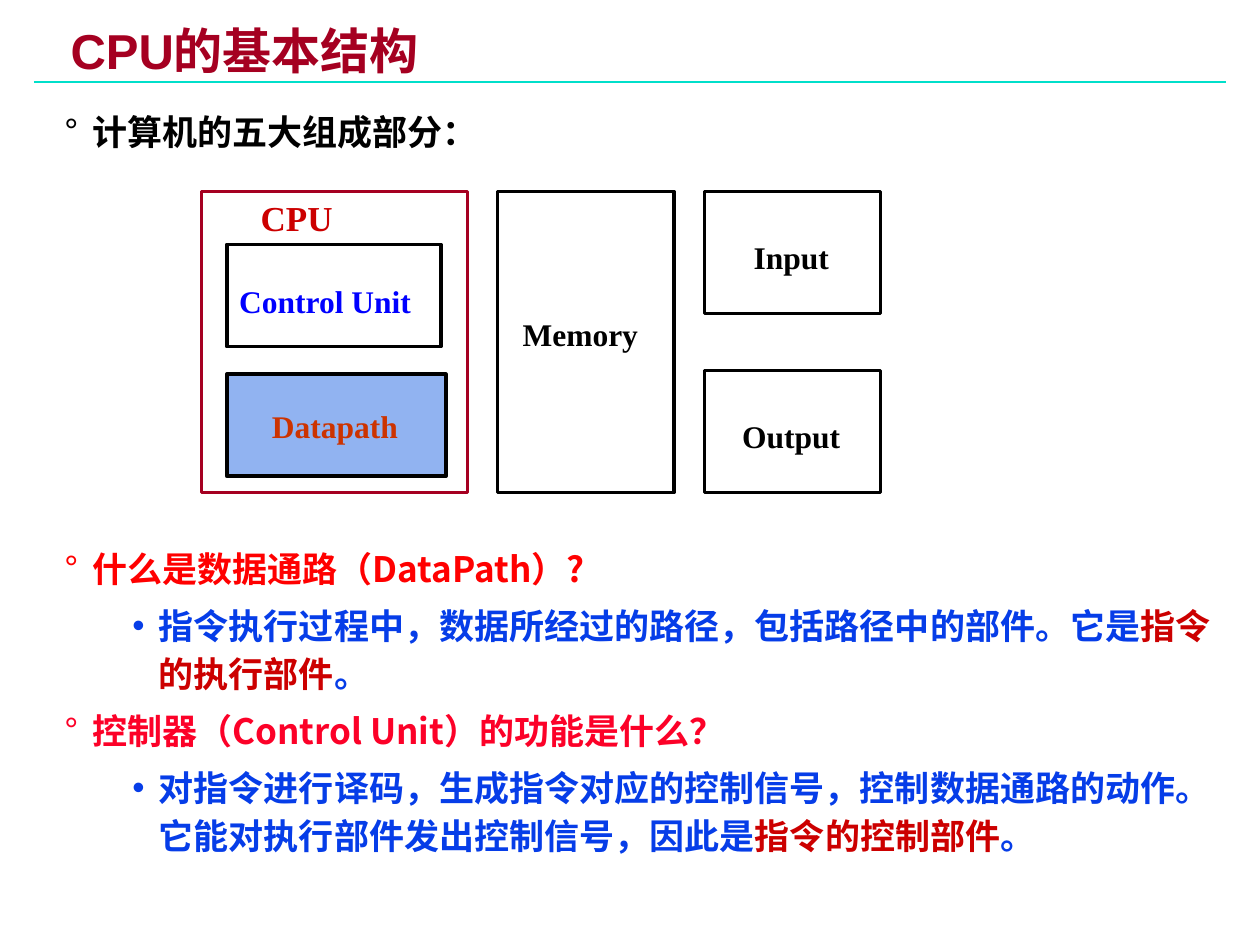
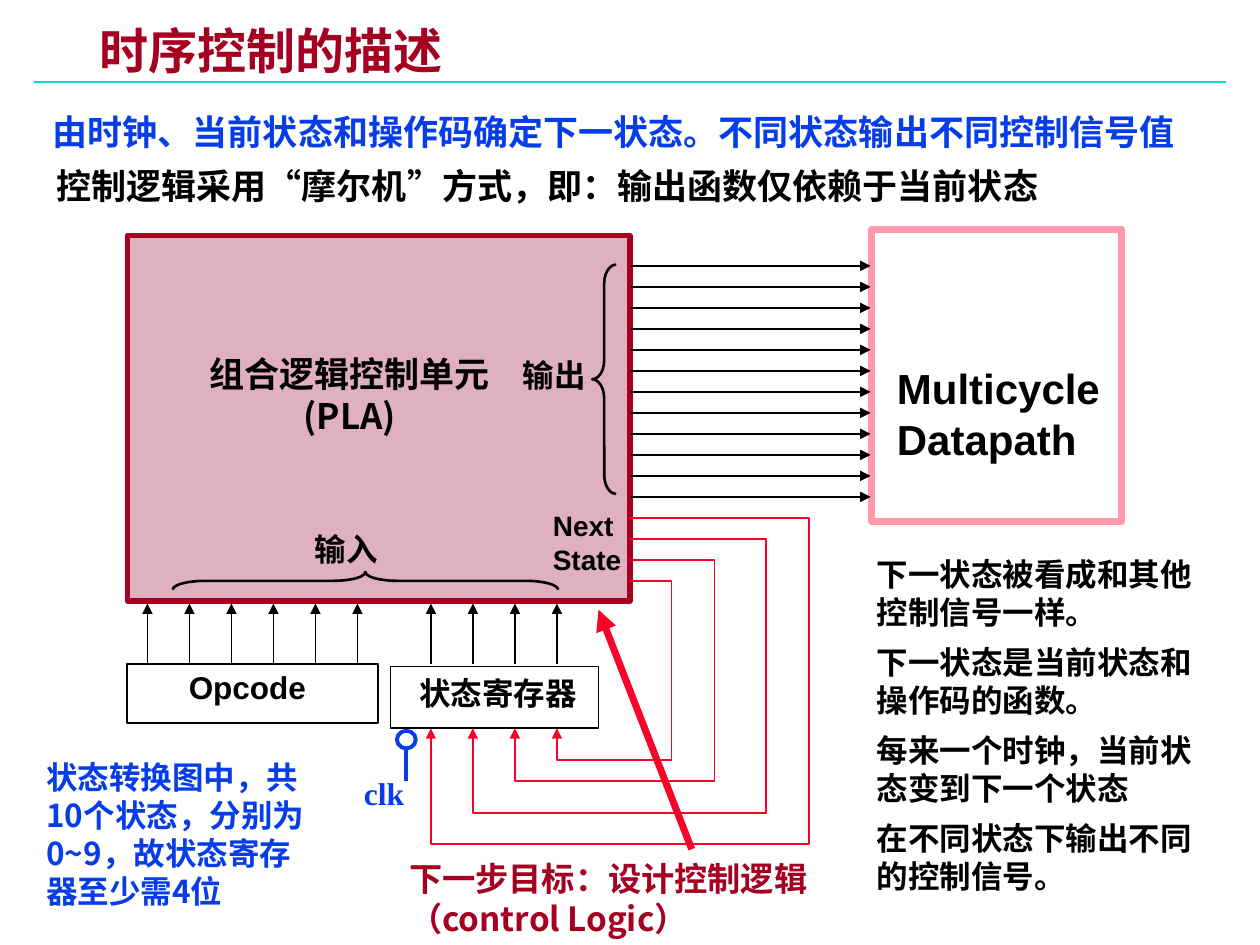
from typing import NamedTuple

from lxml import etree
from pptx import Presentation
from pptx.dml.color import RGBColor
from pptx.enum.shapes import MSO_CONNECTOR, MSO_SHAPE
from pptx.enum.text import MSO_ANCHOR, MSO_AUTO_SIZE, PP_ALIGN
from pptx.oxml.ns import qn
from pptx.util import Inches, Pt

RECT, OVAL, BRACE = MSO_SHAPE.RECTANGLE, MSO_SHAPE.OVAL, MSO_SHAPE.LEFT_BRACE
STRAIGHT = MSO_CONNECTOR.STRAIGHT
LEFT, MID = PP_ALIGN.LEFT, PP_ALIGN.CENTER
TOP, CENTRE = MSO_ANCHOR.TOP, MSO_ANCHOR.MIDDLE
FIXED = MSO_AUTO_SIZE.NONE

WIDE, HIGH = Inches(10), Inches(7.5)
COLS, ROWS = 100, 75
LEADING = 1.2
TITLE_ONLY = 5
SANS, SERIF, HAN = "Arial", "Times New Roman", "Noto Sans CJK SC"
INKS = {
    "black": "000000", "wine": "A50021", "teal": "00DFCA", "red": "FF0000",
    "rose": "FC0128", "brick": "CC0000", "rust": "CC3300", "blue": "063DE8",
    "pure": "0000FF", "sky": "91B3F1", "plum": "990033", "pink": "FE9AAB",
}


class Area(NamedTuple):
    x: float
    y: float
    w: float
    h: float


class Box(NamedTuple):
    area: Area
    line: str = "black"
    width: float = 2
    fill: str = ""
    alpha: int = 100
    kind: int = RECT


class Label(NamedTuple):
    area: Area
    text: str
    size: int = 18
    font: str = SERIF
    ink: str = "black"
    align: int = LEFT
    gap: float = 0


class Point(NamedTuple):
    level: int
    spans: tuple


class Wire(NamedTuple):
    start: tuple
    end: tuple
    ink: str = "black"
    width: float = 1
    arrow: bool = True


class Level(NamedTuple):
    mark: str
    left: float
    hang: float


LEVELS = (Level("°", 0.22, 0.22), Level("•", 0.75, 0.21))


def across(cols: float) -> int:
    return round(WIDE * cols / COLS)


def down(rows: float) -> int:
    return round(HIGH * rows / ROWS)


def frame(area: Area) -> tuple:
    return across(area.x), down(area.y), across(area.w), down(area.h)


def ink(name: str) -> RGBColor:
    return RGBColor.from_string(INKS[name])


def style(run, size: float, font: str, name: str) -> None:
    run.font.size = Pt(size)
    run.font.bold = True
    run.font.name = font
    run.font.color.rgb = ink(name)
    east = etree.SubElement(run._r.get_or_add_rPr(), qn("a:ea"))
    east.set("typeface", HAN)


def settle(text, side: float, edge: float, anchor=TOP) -> None:
    text.word_wrap = True
    text.auto_size = FIXED
    text.vertical_anchor = anchor
    text.margin_left = text.margin_right = Inches(side)
    text.margin_top = text.margin_bottom = Inches(edge)


def draw_title(page, words: str, left: float, width: float) -> None:
    title = page.shapes.title
    title.left, title.top, title.width, title.height = frame(Area(left, 2, width, 4.6))
    text = title.text_frame
    text.text = words
    settle(text, 0.07, 0.03, CENTRE)
    para = text.paragraphs[0]
    para.alignment = LEFT
    para.line_spacing = Pt(29)
    style(para.runs[0], 28, SANS, "wine")
    draw_wire(page, Wire((2.7, 6.5), (97.3, 6.5), "teal", 1.5, False))


def draw_box(page, box: Box):
    shape = page.shapes.add_shape(box.kind, *frame(box.area))
    shape.shadow.inherit = False
    if box.fill:
        shape.fill.solid()
        shape.fill.fore_color.rgb = ink(box.fill)
        shade = shape._element.spPr.find(".//" + qn("a:srgbClr"))
        etree.SubElement(shade, qn("a:alpha")).set("val", str(box.alpha * 1000))
    else:
        shape.fill.background()
    shape.line.color.rgb = ink(box.line)
    shape.line.width = Pt(box.width)
    return shape


def draw_brace(page, area: Area, bend: float, turn: int = 0) -> None:
    brace = draw_box(page, Box(area, width=1.5, kind=BRACE))
    brace.adjustments[0] = bend
    brace.rotation = turn


def draw_label(page, label: Label) -> None:
    text = page.shapes.add_textbox(*frame(label.area)).text_frame
    settle(text, 0.1, 0.05)
    text.text = label.text
    for order, para in enumerate(text.paragraphs):
        para.alignment = label.align
        para.line_spacing = Pt(label.size * LEADING)
        if order:
            para.space_before = Pt(label.gap)
        style(para.runs[0], label.size, label.font, label.ink)


def draw_points(page, area: Area, points: list[Point], pitch: float) -> None:
    text = page.shapes.add_textbox(*frame(area)).text_frame
    settle(text, 0.07, 0.03)
    for order, point in enumerate(points):
        para = text.add_paragraph() if order else text.paragraphs[0]
        level = LEVELS[point.level]
        props = para._p.get_or_add_pPr()
        props.set("marL", str(Inches(level.left)))
        props.set("indent", str(-Inches(level.hang)))
        etree.SubElement(props, qn("a:buFont")).set("typeface", SANS)
        etree.SubElement(props, qn("a:buChar")).set("char", level.mark)
        para.line_spacing = Pt(pitch)
        if order:
            para.space_before = Pt(5)
        for words, name in point.spans:
            run = para.add_run()
            run.text = words
            style(run, 20, HAN, name)


def finish(shape, name: str, width: float, arrow: bool) -> None:
    shape.line.color.rgb = ink(name)
    shape.line.width = Pt(width)
    if arrow:
        edge = shape._element.spPr.find(qn("a:ln"))
        etree.SubElement(edge, qn("a:tailEnd")).set("type", "triangle")


def draw_wire(page, wire: Wire) -> None:
    (x, y), (far, low) = wire.start, wire.end
    line = page.shapes.add_connector(STRAIGHT, across(x), down(y), across(far), down(low))
    finish(line, wire.ink, wire.width, wire.arrow)
    etree.SubElement(line._element.spPr, qn("a:effectLst"))


def draw_loop(page, stops: list[tuple]) -> None:
    spots = [(across(x), down(y)) for x, y in stops]
    pen = page.shapes.build_freeform(*spots[0], scale=1.0)
    pen.add_line_segments(spots[1:], close=False)
    loop = pen.convert_to_shape()
    loop.shadow.inherit = False
    loop.fill.background()
    finish(loop, "rose", 1, True)


def build_core(page) -> None:
    draw_title(page, "CPU的基本结构", 4.9, 81.1)
    draw_points(page, Area(4.4, 8.5, 92.8, 4.5),
                [Point(0, (("计算机的五大组成部分：", "black"),))], 24)
    draw_points(page, Area(4.4, 42.7, 92.8, 27), [
        Point(0, (("什么是数据通路（DataPath）?", "red"),)),
        Point(1, (("指令执行过程中，数据所经过的路径，包括路径中的部件。它是", "blue"),
                  ("指令的执行部件", "brick"), ("。", "blue"))),
        Point(0, (("控制器（Control Unit）的功能是什么？", "rose"),)),
        Point(1, (("对指令进行译码，生成指令对应的控制信号，控制数据通路的动作。"
                   "它能对执行部件发出控制信号，因此是", "blue"),
                  ("指令的控制部件", "brick"), ("。", "blue"))),
    ], 27.5)
    for box in (
        Box(Area(16, 15.2, 21.1, 23.9), "wine"),
        Box(Area(18, 19.4, 17, 8.1)),
        Box(Area(18, 29.7, 17.4, 8.1), fill="sky"),
        Box(Area(39.5, 15.2, 14, 23.9)),
        Box(Area(55.9, 15.2, 14, 9.7)),
        Box(Area(55.9, 29.4, 14, 9.7)),
    ):
        draw_box(page, box)
    for label in (
        Label(Area(19.7, 15.1, 9, 4.3), "CPU", 20, ink="brick"),
        Label(Area(18, 21.9, 17, 4), "Control Unit", ink="pure"),
        Label(Area(20.6, 31.8, 13.2, 4), "Datapath", ink="rust"),
        Label(Area(40.5, 24.5, 12, 4), "Memory"),
        Label(Area(55.8, 18.4, 14, 4), "Input", align=MID),
        Label(Area(55.8, 32.6, 14, 4), "Output", align=MID),
    ):
        draw_label(page, label)


def build_timing(page) -> None:
    draw_title(page, "时序控制的描述", 7.2, 85.3)
    for box in (
        Box(Area(10.1, 18.7, 39.9, 29), "wine", 3, "plum", 31),
        Box(Area(10.1, 52.7, 19.9, 4.7), width=1),
        Box(Area(31, 52.9, 16.5, 4.9), width=1),
        Box(Area(69.2, 18.2, 19.8, 23.2), "pink", 4),
        Box(Area(31.5, 58, 1.5, 1.4), "blue", 2.25, kind=OVAL),
    ):
        draw_box(page, box)
    step = 5 / 3
    pins = [34.2 + 2 * step * pin for pin in range(4)]
    inputs = [11.7 + 2 * step * pin for pin in range(6)]
    for x in inputs + pins:
        draw_wire(page, Wire((x, 52.7), (x, 47.9)))
    for row in range(12):
        y = 21.1 + step * row
        draw_wire(page, Wire((50.1, y), (69.1, y)))
    turns = ((64.2, 67), (60.8, 64.5), (56.7, 62), (53.3, 60.3))
    for order, (pin, (far, low)) in enumerate(zip(pins, turns)):
        y = 41.1 + step * order
        draw_loop(page, [(50, y), (far, y), (far, low), (pin, low), (pin, 57.8)])
    draw_wire(page, Wire((32.2, 62), (32.2, 59.3), "blue", 2.25, False))
    draw_brace(page, Area(47, 21, 1.9, 18.2), 0.79)
    draw_brace(page, Area(28.3, 30.8, 1.4, 30.6), 1.84, 90)
    notes = "\n".join((
        "下一状态被看成和其他控制信号一样。",
        "下一状态是当前状态和操作码的函数。",
        "每来一个时钟，当前状态变到下一个状态",
        "在不同状态下输出不同的控制信号。",
    ))
    for label in (
        Label(Area(3.2, 8.3, 95, 4.3),
              "由时钟、当前状态和操作码确定下一状态。不同状态输出不同控制信号值", 20, HAN, "blue"),
        Label(Area(3.5, 12.6, 85.9, 4.3),
              "控制逻辑采用“摩尔机”方式，即：输出函数仅依赖于当前状态", 20, HAN),
        Label(Area(15.3, 27.5, 24.9, 7.7), "组合逻辑控制单元\n(PLA)", 20, HAN, align=MID),
        Label(Area(39.5, 27.8, 9, 4), "输出", font=HAN, align=MID),
        Label(Area(24, 41.6, 8.2, 4), "输入", font=HAN),
        Label(Area(42.9, 39.9, 9, 6.4), "Next\nState", 16, SANS),
        Label(Area(14, 52.5, 13, 4), "Opcode", font=SANS),
        Label(Area(32.3, 53, 15.3, 4), "状态寄存器", font=HAN),
        Label(Area(70.2, 28.3, 19, 9), "Multicycle\nDatapath", 24, SANS),
        Label(Area(27.9, 60.9, 8.3, 4), "clk", ink="blue"),
        Label(Area(68.6, 43.6, 28.3, 28.6), notes, font=HAN, gap=7),
        Label(Area(31.5, 67.6, 35.8, 7.4),
              "下一步目标：设计控制逻辑（control Logic）", 19, HAN, "wine"),
        Label(Area(2.7, 59.7, 22.6, 13.1),
              "状态转换图中，共10个状态，分别为0~9，故状态寄存器至少需4位", font=HAN, ink="blue"),
    ):
        draw_label(page, label)
    draw_wire(page, Wire((54.9, 67.4), (47.5, 48.4), "rose", 4))


def main() -> None:
    deck = Presentation()
    deck.slide_width, deck.slide_height = WIDE, HIGH
    for build in (build_core, build_timing):
        build(deck.slides.add_slide(deck.slide_layouts[TITLE_ONLY]))
    deck.save("out.pptx")


if __name__ == "__main__":
    main()
